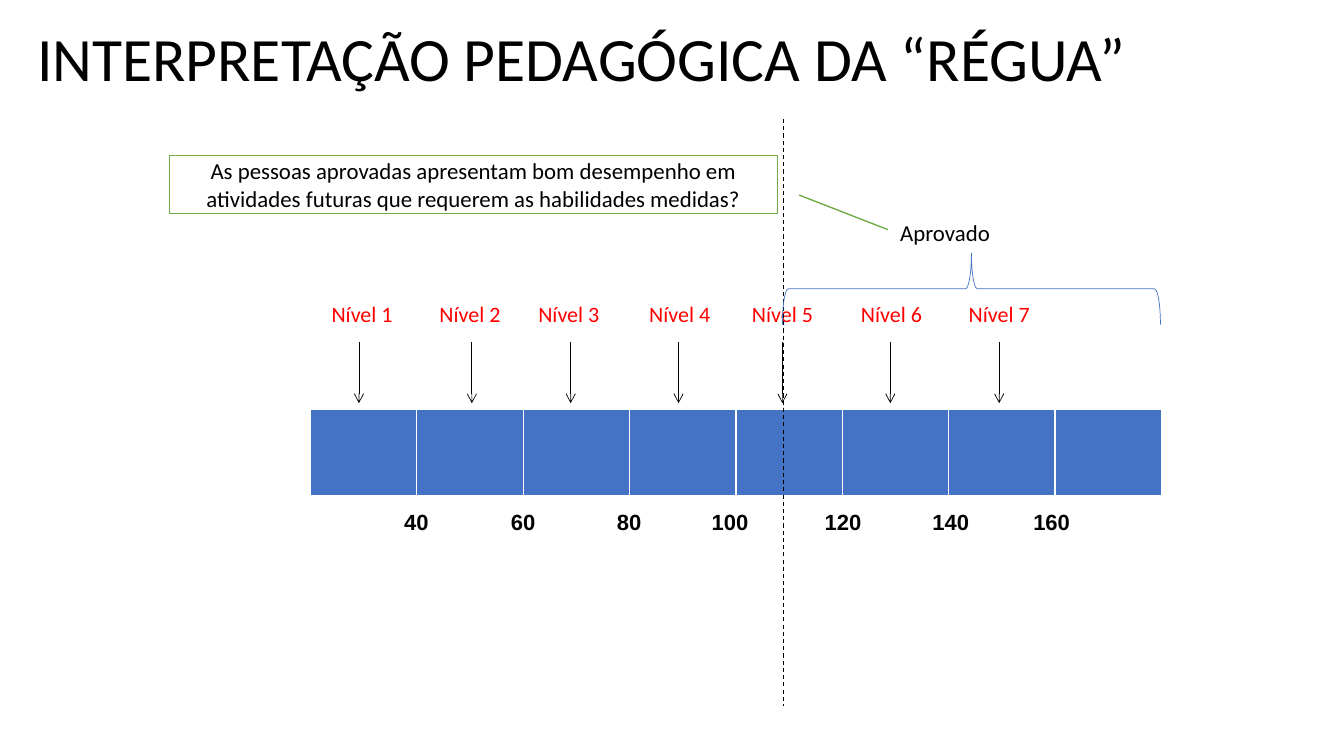
from lxml import etree
from pptx import Presentation
from pptx.dml.color import RGBColor
from pptx.enum.dml import MSO_LINE
from pptx.enum.shapes import MSO_CONNECTOR, MSO_SHAPE
from pptx.enum.text import MSO_ANCHOR, PP_ALIGN
from pptx.oxml.ns import qn
from pptx.util import Inches, Pt

# Content
TITLE = "INTERPRETAÇÃO PEDAGÓGICA DA “RÉGUA”"
QUESTION = ("As pessoas aprovadas apresentam bom desempenho em "
            "atividades futuras que requerem as habilidades medidas?")
APPROVED = "Aprovado"
# Level name, label left, label width, arrow x
LEVELS = [
    ("Nível 1", 3.19, 0.86, 3.56),
    ("Nível 2", 4.26, 0.92, 4.68),
    ("Nível 3", 5.24, 0.92, 5.66),
    ("Nível 4", 6.34, 0.86, 6.73),
    ("Nível 5", 7.36, 0.86, 7.76),
    ("Nível 6", 8.44, 0.86, 8.83),
    ("Nível 7", 9.51, 0.86, 9.91),
]
SCALE = ["40", "60", "80", "100", "120", "140", "160"]
SCALE_TABS = [1.06, 2.11, 3.05, 4.17, 5.24, 6.24]
RULER_CELLS = 8

BLACK = RGBColor(0x00, 0x00, 0x00)
WHITE = RGBColor(0xFF, 0xFF, 0xFF)
RED = RGBColor(0xFF, 0x00, 0x00)
BLUE = RGBColor(0x44, 0x72, 0xC4)
GREEN = RGBColor(0x70, 0xAD, 0x47)
STRAIGHT = MSO_CONNECTOR.STRAIGHT
BRACE = MSO_SHAPE.RIGHT_BRACE
CALLOUT = MSO_SHAPE.LINE_CALLOUT_1
DASH = MSO_LINE.DASH
MIDDLE = MSO_ANCHOR.MIDDLE
CENTER = PP_ALIGN.CENTER

prs = Presentation()
prs.slide_width, prs.slide_height = Inches(13.33), Inches(7.5)
shapes = prs.slides.add_slide(prs.slide_layouts[6]).shapes


def box(*at):
    return [Inches(v) for v in at]


def style(p, size, color=BLACK, name="Calibri", bold=False):
    p.font.size, p.font.name, p.font.bold = Pt(size), name, bold
    p.font.color.rgb = color


def add_text(text, at, size, color=BLACK):
    tf = shapes.add_textbox(*box(*at)).text_frame
    tf.word_wrap = True
    p = tf.paragraphs[0]
    p.text = text
    style(p, size, color)
    return tf


def add_line(x, top, bottom, width):
    s = shapes.add_connector(STRAIGHT, *box(x, top, x, bottom))
    s.line.color.rgb, s.line.width = BLACK, Pt(width)
    etree.SubElement(s.line._get_or_add_ln().getparent(), qn("a:effectLst"))
    return s


def add_border(cell, side, width):
    ln = etree.SubElement(cell._tc.get_or_add_tcPr(), qn("a:" + side), w=str(Pt(width)))
    fill = etree.SubElement(ln, qn("a:solidFill"))
    etree.SubElement(fill, qn("a:srgbClr"), val=str(WHITE))


# Title
tf = add_text(TITLE, (0.27, 0.22, 12.8, 0.79), 44)
tf.vertical_anchor = MIDDLE
tf.paragraphs[0].line_spacing = 0.9

# Ruler
table = shapes.add_table(1, RULER_CELLS, *box(3.08, 4.06, 8.44, 0.87)).table
for cell in table.iter_cells():
    for side, width in (("lnL", 1), ("lnR", 1), ("lnT", 1), ("lnB", 3)):
        add_border(cell, side, width)
    cell.fill.solid()
    cell.fill.fore_color.rgb = BLUE

# Levels with their arrows
for name, left, width, x in LEVELS:
    add_text(name, (left, 2.93, width, 0.36), 15.7, RED)
    arrow = add_line(x, 3.39, 4, 0.5)
    etree.SubElement(arrow.line._get_or_add_ln(), qn("a:tailEnd"), type="arrow")

# Cut-off line and approved range
add_line(7.77, 1.18, 7, 0.75).line.dash_style = DASH
brace = shapes.add_shape(BRACE, *box(9.28, 0.99, 0.71, 3.75))
brace.rotation = 270
brace.shadow.inherit = False
brace.fill.background()
brace.line.color.rgb, brace.line.width = BLUE, Pt(0.5)
add_text(APPROVED, (8.83, 2.12, 1.13, 0.38), 16.3)

# Question callout
s = shapes.add_shape(CALLOUT, *box(1.68, 1.54, 6.03, 0.58))
for i, value in enumerate((0.681, 1.036, 1.273, 1.182)):
    s.adjustments[i] = value
s.shadow.inherit = False
s.fill.solid()
s.fill.fore_color.rgb = WHITE
s.line.color.rgb, s.line.width = GREEN, Pt(1)
tf = s.text_frame
tf.word_wrap = True
tf.vertical_anchor = MIDDLE
p = tf.paragraphs[0]
p.text = QUESTION
p.alignment = CENTER
style(p, 16.3)

# Scale values, one per tab stop
tf = shapes.add_textbox(*box(3.91, 5, 6.87, 0.36)).text_frame
tf.word_wrap = True
p = tf.paragraphs[0]
p.text = "\t".join(SCALE)
tabs = etree.SubElement(p._p.get_or_add_pPr(), qn("a:tabLst"))
for pos in SCALE_TABS:
    etree.SubElement(tabs, qn("a:tab"), pos=str(Inches(pos)), algn="l")
style(p, 15.7, name="Arial", bold=True)

prs.save("out.pptx")
